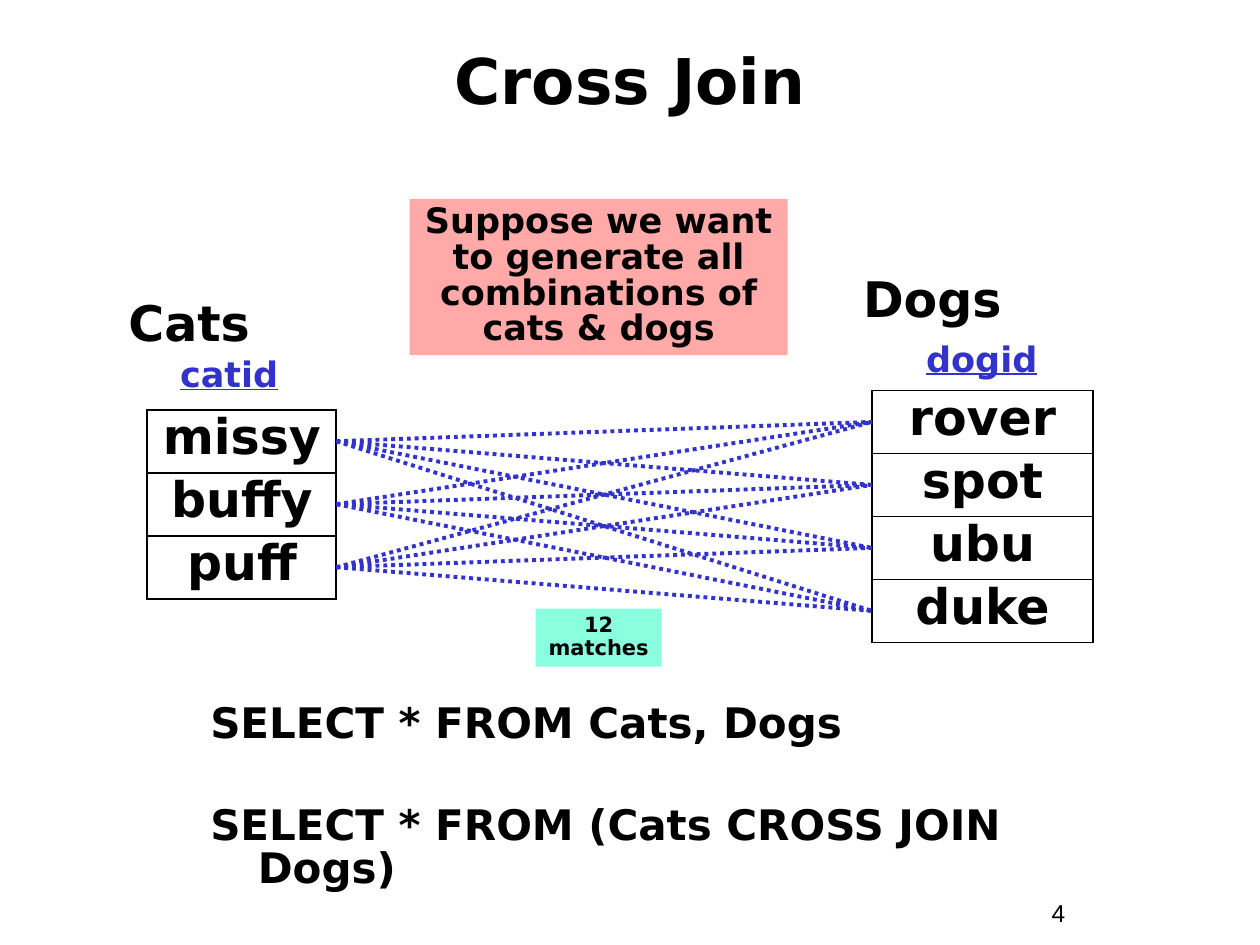
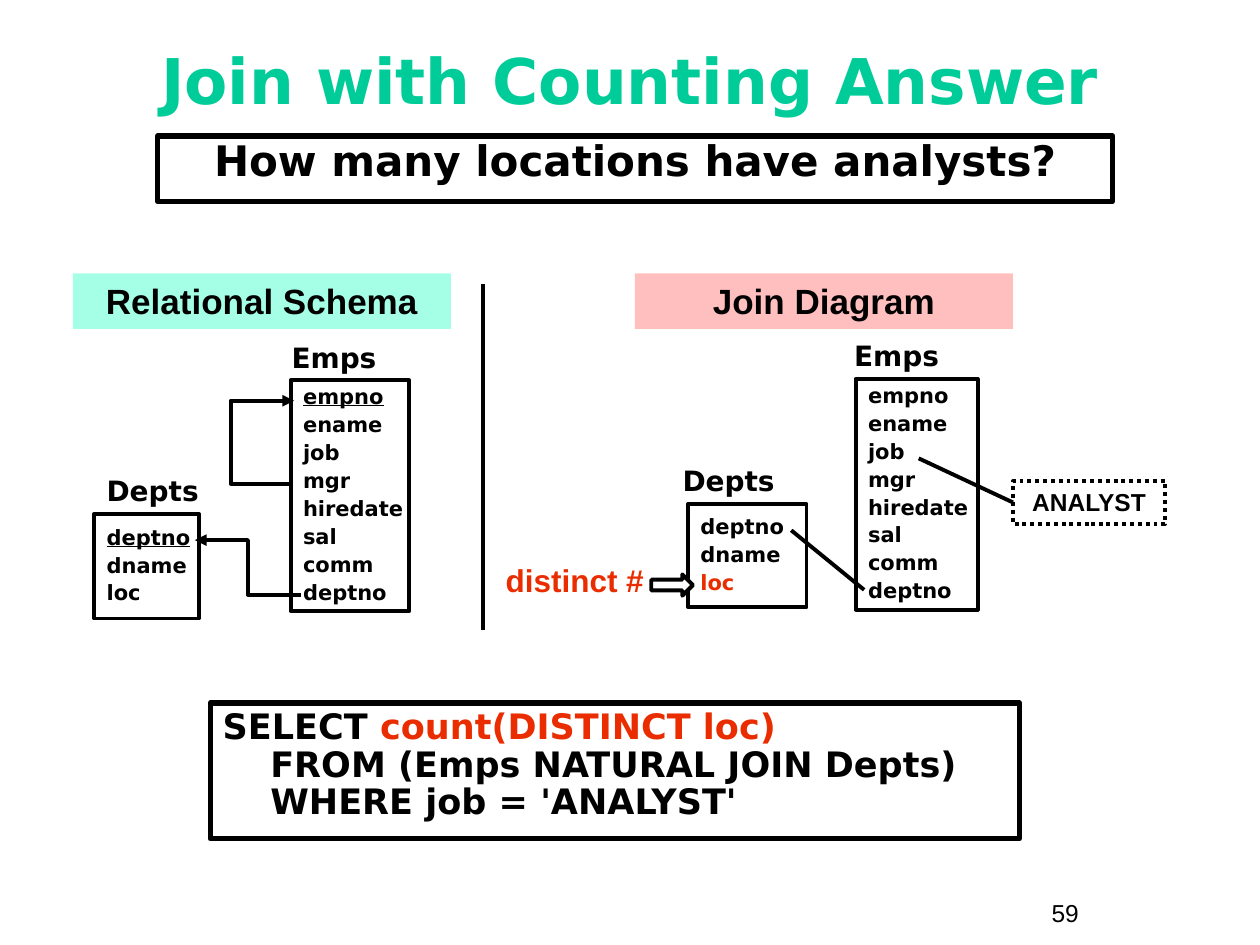
from dataclasses import dataclass

from lxml.etree import SubElement
from pptx import Presentation
from pptx.dml.color import RGBColor
from pptx.enum.dml import MSO_LINE
from pptx.enum.shapes import MSO_CONNECTOR, MSO_SHAPE
from pptx.enum.text import MSO_ANCHOR, PP_ALIGN
from pptx.oxml.ns import qn
from pptx.util import Cm, Pt

RECT, ARROW = MSO_SHAPE.RECTANGLE, MSO_SHAPE.RIGHT_ARROW
LINE, ELBOW = MSO_CONNECTOR.STRAIGHT, MSO_CONNECTOR.ELBOW
LEFT, MID, RIGHT = PP_ALIGN.LEFT, PP_ALIGN.CENTER, PP_ALIGN.RIGHT
TOP, CORE = MSO_ANCHOR.TOP, MSO_ANCHOR.MIDDLE
DOTS = MSO_LINE.ROUND_DOT
SIDES = ("a:lnL", "a:lnR", "a:lnT", "a:lnB")


@dataclass(frozen=True)
class Theme:
    """Colours, fonts, type sizes and line widths of the deck."""
    ink: str = "000000"
    paper: str = "FFFFFF"
    key: str = "3333CC"
    hot: str = "EA2D00"
    green: str = "00CC99"
    rose: str = "FFA9A9"
    blush: str = "FFBFBF"
    mint: str = "89FFE0"
    foam: str = "A5FFE7"
    sans: str = "DejaVu Sans"
    plain: str = "Arial"
    title: int = 36
    large: int = 28
    code: int = 24
    body: int = 20
    note: int = 18
    label: int = 16
    page: int = 14
    small: int = 12
    thick: float = 3
    line: float = 2.25
    thin: float = 1.08


T = Theme()


def paint(item, **values):
    """Set each named value on an object."""
    for name, value in values.items():
        setattr(item, name, value)


def tint(code):
    """Return a colour from its hex code."""
    return RGBColor.from_string(code)


def write(frame, lines, size, color=T.ink, font=T.sans, bold=True,
          align=LEFT, pitch=1, gap=0, hung=0, under=()):
    """Write paragraphs, each a string or a list of (text, colour) runs."""
    for row, line in enumerate(lines):
        para = frame.add_paragraph() if row else frame.paragraphs[0]
        paint(para, alignment=align, line_spacing=pitch,
              space_before=Pt(gap if row else 0))
        if hung:
            props = para._p.get_or_add_pPr()
            props.set("marL", str(Cm(0.96)))
            props.set("indent", str(Cm(-0.96) if row < hung else 0))
        for text, shade in [(line, color)] if isinstance(line, str) else line:
            run = para.add_run()
            run.text = text
            paint(run.font, name=font, size=Pt(size), bold=bold,
                  underline=text in under)
            run.font.color.rgb = tint(shade)


def place(slide, box, lines=(), size=T.body, kind=RECT, fill=None, edge=0,
          dash=None, anchor=TOP, inset=0.25, **style):
    """Add a shape, or a text box if kind is None, with its text."""
    area = [Cm(v) for v in box]
    if kind is None:
        shape = slide.shapes.add_textbox(*area)
    else:
        shape = slide.shapes.add_shape(kind, *area)
        shape.shadow.inherit = False
        if fill:
            shape.fill.solid()
            shape.fill.fore_color.rgb = tint(fill)
        else:
            shape.fill.background()
        if edge:
            shape.line.color.rgb = tint(T.ink)
            paint(shape.line, width=Pt(edge), dash_style=dash)
        else:
            shape.line.fill.background()
    paint(shape.text_frame, word_wrap=True, vertical_anchor=anchor,
          margin_right=Cm(inset))
    write(shape.text_frame, lines, size, **style)
    return shape


def link(slide, start, end, kind=LINE, color=T.ink, dash=None, head=False,
         bend=None):
    """Add a connector, with an arrowhead or a bend ratio if asked."""
    wire = slide.shapes.add_connector(kind, *[Cm(v) for v in start + end])
    wire.line.color.rgb = tint(color)
    paint(wire.line, width=Pt(T.line), dash_style=dash)
    props = wire._element.spPr
    if head:
        SubElement(props.find(qn("a:ln")), qn("a:tailEnd"), type="triangle")
    if bend is not None:
        geom = props.find(qn("a:prstGeom"))
        SubElement(geom.find(qn("a:avLst")), qn("a:gd"), name="adj1",
                   fmla=f"val {round(bend * 100000)}")
    SubElement(props, qn("a:effectLst"))
    return wire


def start(deck, title, page, color=T.ink):
    """Add a slide with its title and page number."""
    slide = deck.slides.add_slide(deck.slide_layouts[6])
    place(slide, (0.85, 0.43, 23.7, 2.34), [title], T.title, None,
          anchor=CORE, align=MID, color=color)
    place(slide, (20.95, 17.98, 2.34, 0.86), [page], T.page, None,
          font=T.plain, bold=False)
    return slide


def pets(slide, box, name, key, rows, lead):
    """Draw a named one-column table and return the middles of its rows."""
    x, y, w, step = box
    place(slide, (x + lead[0], y - lead[1], 3.6, 1.45), [name], T.large, None)
    place(slide, (x + lead[2], y - lead[3], 3.7, 1.12), [key], T.body, None,
          color=T.key, under=[key])
    area = [Cm(v) for v in (x, y, w, step * len(rows))]
    table = slide.shapes.add_table(len(rows), 1, *area).table
    paint(table, first_row=False, horz_banding=False)
    for row, text in enumerate(rows):
        cell = table.cell(row, 0)
        props = cell._tc.get_or_add_tcPr()
        for side in SIDES:
            rule = SubElement(props, qn(side), w=str(Pt(T.thin)))
            solid = SubElement(rule, qn("a:solidFill"))
            SubElement(solid, qn("a:srgbClr"), val=T.ink)
        cell.fill.background()
        write(cell.text_frame, [text], T.large, align=MID, pitch=0.85)
    return [y + step * (row + 0.5) for row in range(len(rows))]


def entity(slide, box, name, rows, lead=0.0, **style):
    """Draw a named box that lists the columns of a relation."""
    x, y, w, h = box
    place(slide, (x - lead, y - 0.86, 3.3, 0.86), [name], T.label, None,
          pitch=0.9)
    place(slide, box, rows, T.small, edge=T.line, anchor=CORE, inset=0,
          pitch=0.9, gap=3, **style)


def banner(slide, x, y, text, fill):
    """Draw the heading of a panel."""
    place(slide, (x, y, 7.62, 1.12), [text], fill=fill, font=T.plain,
          align=MID)


EMPS = ["empno", "ename", "job", "mgr", "hiredate", "sal", "comm", "deptno"]
DEPTS = ["deptno", "dname"]


def schema(slide, x, y):
    """Draw the panel of relations with their foreign keys."""
    banner(slide, x, y, "Relational Schema", T.foam)
    entity(slide, (x + 4.39, y + 2.16, 2.39, 4.65), "Emps", EMPS, 0.23,
           under=["empno"])
    entity(slide, (x + 0.43, y + 4.85, 2.11, 2.11), "Depts",
           DEPTS + ["loc"], under=["deptno"])
    link(slide, (x + 4.44, y + 4.24), (x + 4.46, y + 2.57), ELBOW,
         head=True, bend=-63)
    link(slide, (x + 4.6, y + 6.48), (x + 2.46, y + 5.38), ELBOW,
         head=True, bend=0.5)


def joins(slide, x, y):
    """Draw the panel of the join, its filter and its result."""
    banner(slide, x, y, "Join Diagram", T.blush)
    entity(slide, (x + 4.45, y + 2.13, 2.46, 4.65), "Emps", EMPS, 0.28)
    entity(slide, (x + 1.07, y + 4.65, 2.39, 2.08), "Depts",
           DEPTS + [[("loc", T.hot)]], 0.36)
    link(slide, (x + 3.15, y + 5.18), (x + 4.62, y + 6.38))
    test = place(slide, (x + 7.62, y + 4.19, 3.07, 0.86), ["ANALYST"], T.page,
                 edge=T.line, dash=DOTS, font=T.plain, align=MID)
    wire = link(slide, (x + 5.72, y + 3.73), (x + 7.62, y + 4.62))
    wire.end_connect(test, 1)
    place(slide, (x - 3.18, y + 5.79, 3.61, 0.91), ["distinct #"], T.note,
          None, font=T.plain, color=T.hot, align=RIGHT, pitch=0.85)
    place(slide, (x + 0.33, y + 6.07, 0.84, 0.43), kind=ARROW, fill=T.paper,
          edge=T.line)


def cross(deck):
    """Build the slide on the cross join."""
    slide = start(deck, "Cross Join", "4")
    cats = pets(slide, (2.97, 8.26, 3.81, 1.27), "Cats", "catid",
                ["missy", "buffy", "puff"], (-0.63, 2.49, 0.41, 1.27))
    dogs = pets(slide, (17.58, 7.87, 4.45, 1.27), "Dogs", "dogid",
                ["rover", "spot", "ubu", "duke"], (-0.43, 2.59, 0.84, 1.19))
    for cat in cats:
        for dog in dogs:
            link(slide, (6.78, cat), (17.58, dog), color=T.key, dash=DOTS)
    place(slide, (8.26, 4.01, 7.62, 3.15),
          ["Suppose we want to generate all combinations of cats & dogs"],
          fill=T.rose, align=MID, pitch=0.85)
    place(slide, (3.99, 14.07, 18.8, 4),
          ["SELECT * FROM Cats, Dogs", "SELECT * FROM (Cats CROSS JOIN Dogs)"],
          T.code, None, pitch=0.85, gap=34, hung=2)
    place(slide, (10.8, 12.27, 2.54, 1.17), ["12", "matches"], T.small,
          fill=T.mint, align=MID, pitch=0.9)


def count(deck):
    """Build the slide on the counting join."""
    slide = start(deck, "Join with Counting Answer", "59", T.green)
    place(slide, (3.18, 2.74, 19.25, 1.32),
          ["How many locations have analysts?"], T.code, edge=T.thick,
          align=MID, pitch=0.85)
    place(slide, (4.24, 14.17, 16.31, 2.74),
          [[("SELECT ", T.ink), ("count(DISTINCT loc)", T.hot)],
           "FROM (Emps NATURAL JOIN Depts)", "WHERE job = 'ANALYST'"],
          edge=T.thick, pitch=0.9, hung=1)
    schema(slide, 1.47, 5.51)
    link(slide, (9.73, 5.72), (9.73, 12.7))
    joins(slide, 12.8, 5.51)


def main():
    """Build and save the deck."""
    deck = Presentation()
    paint(deck, slide_width=Cm(25.4), slide_height=Cm(19.05))
    cross(deck)
    count(deck)
    deck.save("out.pptx")


if __name__ == "__main__":
    main()
